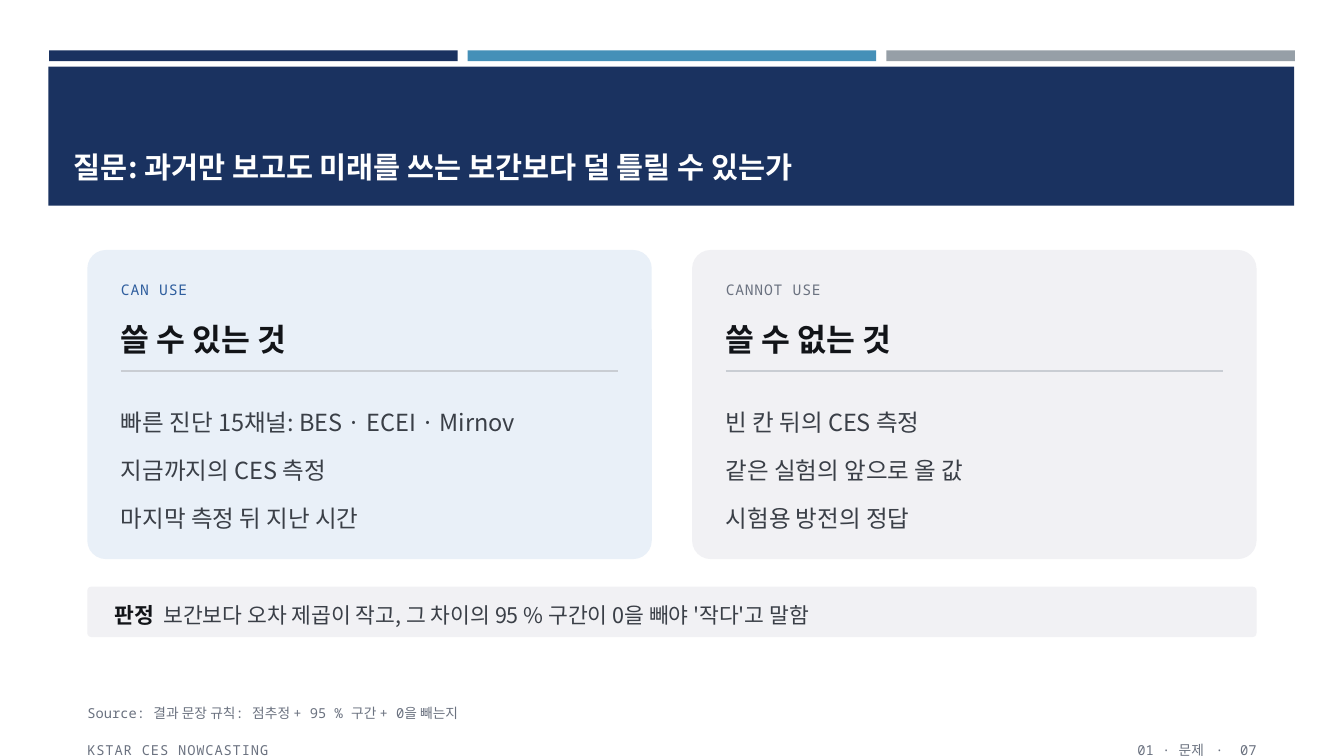
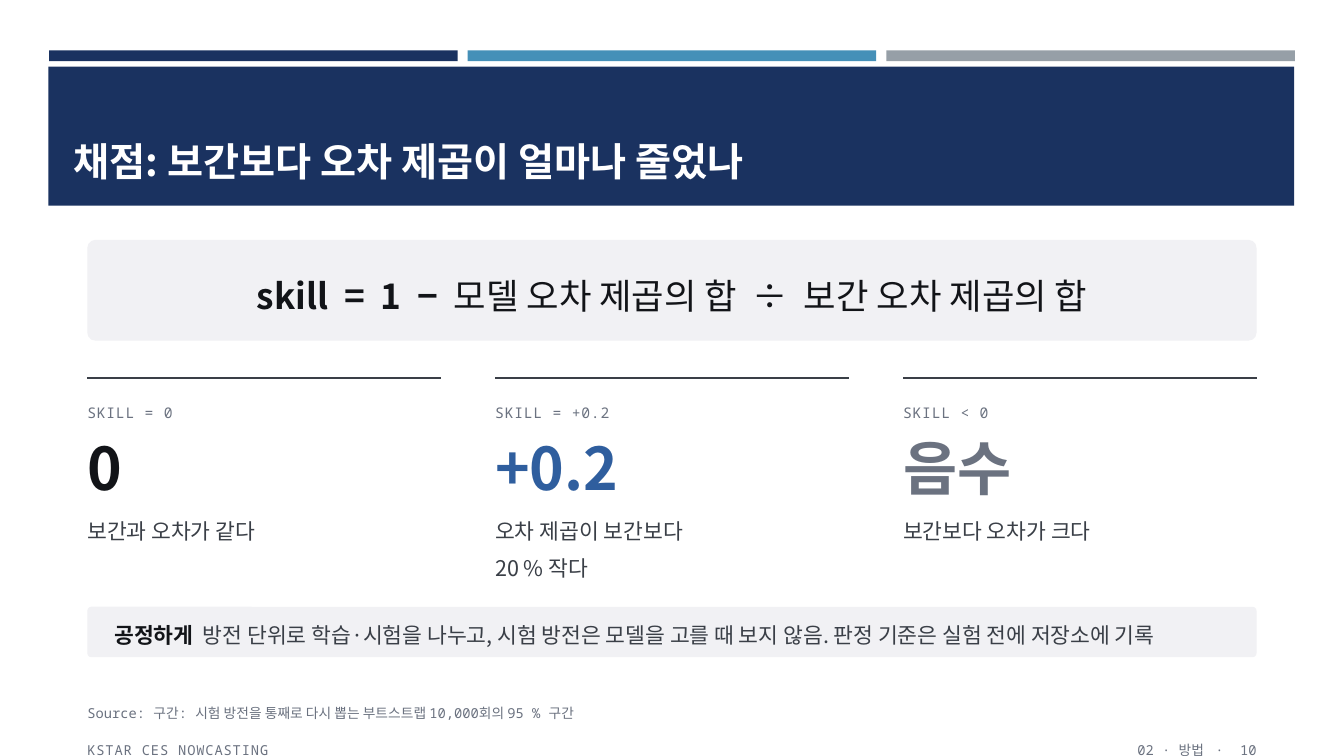
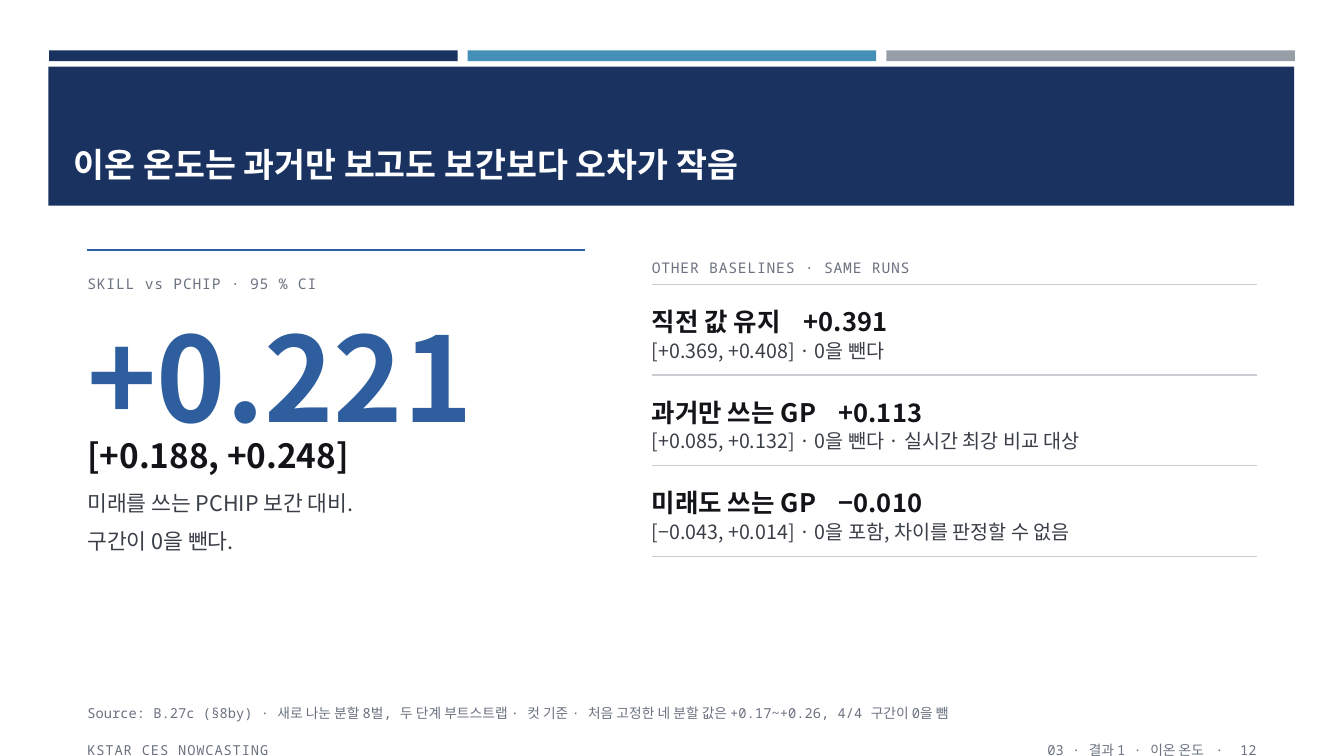
import pptx
import pptx.util
import pptx.dml.color
import pptx.enum.shapes
import pptx.enum.text
import pptx.oxml
import pptx.oxml.ns
from lxml import etree

RGB = pptx.dml.color.RGBColor
SHAPE = pptx.enum.shapes.MSO_SHAPE
ALIGN = pptx.enum.text.PP_ALIGN
ANCHOR = pptx.enum.text.MSO_ANCHOR
qn = pptx.oxml.ns.qn

PX = 6096  # EMU per px: the slide is 2000 x 1125 px

NAVY = RGB(0x1A, 0x32, 0x60)
SKY = RGB(0x45, 0x90, 0xB8)
STEEL = RGB(0x96, 0x9F, 0xA7)
WHITE = RGB(0xFF, 0xFF, 0xFF)
BLUE = RGB(0x2F, 0x5E, 0x9E)
PALE_BLUE = RGB(0xE9, 0xF0, 0xF8)
PALE_GRAY = RGB(0xF1, 0xF1, 0xF4)
INK = RGB(0x12, 0x14, 0x18)
BODY = RGB(0x3A, 0x3F, 0x47)
MUTED = RGB(0x6B, 0x72, 0x80)
RULE = RGB(0xC9, 0xCD, 0xD3)

SANS = "Noto Sans CJK KR"
MONO = "Noto Sans Mono"

LEFT, WIDTH = 130, 1740
BAR_COLORS = (NAVY, SKY, STEEL)


# Basic parts
def emu(*lengths):
    return [pptx.util.Emu(v * PX) for v in lengths]


def add_run(p, content, size=15.4, color=BODY, font=SANS, bold=False, spc=0):
    r = p.add_run()
    r.text = content
    f = r.font
    f.size = pptx.util.Pt(size)
    f.bold = bold
    f.color.rgb = color
    f.name = font
    rPr = r._r.get_or_add_rPr()
    if spc:
        rPr.set("spc", str(round(spc * 100)))
    etree.SubElement(rPr, qn("a:ea")).set("typeface", SANS)


def text(s, box, paras, align=ALIGN.LEFT, anchor=ANCHOR.TOP, spacing=1.25,
         tab=None, **fmt):
    """Each paragraph is a string or a list of (string, format) runs."""
    tf = s.shapes.add_textbox(*emu(*box)).text_frame
    tf.word_wrap = True
    tf.vertical_anchor = anchor
    tf.margin_left = tf.margin_right = tf.margin_top = tf.margin_bottom = 0
    for i, para in enumerate([paras] if isinstance(paras, str) else paras):
        p = tf.paragraphs[0] if i == 0 else tf.add_paragraph()
        p.alignment = align
        p.line_spacing = spacing
        if tab:
            tabs = etree.SubElement(p._p.get_or_add_pPr(), qn("a:tabLst"))
            stop = etree.SubElement(tabs, qn("a:tab"))
            stop.set("pos", str(tab * PX))
            stop.set("algn", "l")
        for content, extra in [(para, {})] if isinstance(para, str) else para:
            add_run(p, content, **{**fmt, **extra})


def spaced(parts, spc):
    """Join runs with a space widened by spc points."""
    runs = []
    for part in parts:
        if runs:
            runs.append((" ", {"spc": spc}))
        runs.append(part)
    return runs


def label(s, x, y, w, content, color=MUTED):
    text(s, (x, y, w, 35), content, size=10.5, font=MONO, color=color, spc=0.6)


def block(s, box, fill, radius=None):
    kind = SHAPE.RECTANGLE if radius is None else SHAPE.ROUNDED_RECTANGLE
    sp = s.shapes.add_shape(kind, *emu(*box))
    if radius is not None:
        sp.adjustments[0] = radius
    sp.shadow.inherit = False
    sp.fill.solid()
    sp.fill.fore_color.rgb = fill
    sp.line.fill.background()


def rule(s, x, y, w, color=RULE, weight=1):
    line = s.shapes.add_connector(pptx.enum.shapes.MSO_CONNECTOR.STRAIGHT,
                                  *emu(x, y, x + w, y))
    line.line.color.rgb = color
    line.line.width = pptx.util.Pt(weight)
    etree.SubElement(line._element.spPr, qn("a:effectLst"))


# Frame shared by all slides
def new_slide(prs, title, title_size, source, section, page):
    s = prs.slides.add_slide(prs.slide_layouts[5])
    for i, color in enumerate(BAR_COLORS):
        block(s, (73 + i * 623, 75, 608, 16), color)
    block(s, (72, 99, 1854, 207), NAVY)

    # Title, brought in front of its band
    sp = s.shapes.title
    sp.element.getparent().append(sp.element)
    sp.left, sp.top, sp.width, sp.height = emu(95, 120, 1809, 162)
    tf = sp.text_frame
    tf.auto_size = pptx.enum.text.MSO_AUTO_SIZE.NONE
    tf.word_wrap = True
    tf.vertical_anchor = ANCHOR.BOTTOM
    tf.paragraphs[0].alignment = ALIGN.LEFT
    add_run(tf.paragraphs[0], title, size=title_size, color=WHITE, bold=True)

    # Source and footer
    small = dict(size=9.8, font=MONO, color=MUTED)
    text(s, (LEFT, 1043, WIDTH, 40), "Source: " + source, **small)
    text(s, (LEFT, 1098, 800, 30), "KSTAR CES NOWCASTING", spc=0.6, **small)
    parts = [(part, {}) for part in (section, "·", page)]
    text(s, (1070, 1098, 800, 30), [spaced(parts, 5.9)],
         align=ALIGN.RIGHT, **small)
    return s


def note(s, y, lead, content):
    block(s, (LEFT, y, WIDTH, 75), PALE_GRAY, 0.08)
    runs = [(lead, {"color": INK, "bold": True}), (content, {})]
    text(s, (LEFT + 40, y, WIDTH - 80, 75), [spaced(runs, 3.4)],
         anchor=ANCHOR.MIDDLE)


# Regions
def card(s, x, y, fill, tag, tag_color, heading, items):
    block(s, (x, y, 840, 460), fill, 0.06)
    x, w = x + 50, 740
    label(s, x, y + 40, w, tag, tag_color)
    text(s, (x, y + 90, w, 70), heading, size=22.4, color=INK, bold=True)
    rule(s, x, y + 180, w)
    text(s, (x, y + 206, w, 240), items, spacing=1.7, size=16.8)


def formula(s, x, y, w, h):
    block(s, (x, y, w, h), PALE_GRAY, 0.08)
    runs = [(term, {"bold": True}) for term in ("skill", "=", "1", "−")]
    runs += [(term, {}) for term in
             ("모델 오차 제곱의 합", "÷", "보간 오차 제곱의 합")]
    text(s, (x, y, w, h), [spaced(runs, 5.6)], align=ALIGN.CENTER,
         anchor=ANCHOR.MIDDLE, size=25.2, color=INK)


def score(s, x, y, w, tag, value, color, caption):
    rule(s, x, y, w, BODY, 1.25)
    label(s, x, y + 31, w, tag)
    text(s, (x, y + 79, w, 130), value, spacing=1, size=42, color=color,
         bold=True)
    text(s, (x, y + 193, w, 180), caption, spacing=1.4)


def main_result(s, x, y, w):
    rule(s, x, y, w, BLUE, 2)
    label(s, x, y + 30, w, "SKILL vs PCHIP · 95 % CI")
    text(s, (x, y + 81, w, 190), "+0.221", spacing=1, size=84, color=BLUE,
         bold=True)
    text(s, (x, y + 261, w, 70), "[+0.188, +0.248]", size=23.8, color=INK,
         bold=True)
    text(s, (x, y + 340, w, 140),
         ["미래를 쓰는 PCHIP 보간 대비.", "구간이 0을 뺀다."], spacing=1.45)


def baselines(s, x, y, w, rows):
    label(s, x, y, w, "OTHER BASELINES · SAME RUNS")
    y += 45
    rule(s, x, y, w)
    for name, value, tab, interval in rows:
        text(s, (x, y + 21, w, 50), f"{name}\t{value}", tab=tab, size=18.2,
             color=INK, bold=True)
        text(s, (x, y + 72, w, 60), interval, size=14)
        y += 135
        rule(s, x, y, w)


# Slides
def question_slide(prs):
    s = new_slide(prs, "질문: 과거만 보고도 미래를 쓰는 보간보다 덜 틀릴 수 있는가", 21,
                  "결과 문장 규칙: 점추정 + 95 % 구간 + 0을 빼는지", "01 · 문제", "07")
    cards = (
        (PALE_BLUE, "CAN USE", BLUE, "쓸 수 있는 것",
         ["빠른 진단 15채널: BES · ECEI · Mirnov", "지금까지의 CES 측정",
          "마지막 측정 뒤 지난 시간"]),
        (PALE_GRAY, "CANNOT USE", MUTED, "쓸 수 없는 것",
         ["빈 칸 뒤의 CES 측정", "같은 실험의 앞으로 올 값", "시험용 방전의 정답"]),
    )
    for i, content in enumerate(cards):
        card(s, LEFT + i * 900, 372, *content)
    note(s, 873, "판정",
         "보간보다 오차 제곱이 작고, 그 차이의 95 % 구간이 0을 빼야 '작다'고 말함")


def scoring_slide(prs):
    s = new_slide(prs, "채점: 보간보다 오차 제곱이 얼마나 줄었나", 28,
                  "구간: 시험 방전을 통째로 다시 뽑는 부트스트랩 10,000회의 95 % 구간",
                  "02 · 방법", "10")
    formula(s, LEFT, 357, WIDTH, 150)
    scores = (
        ("SKILL = 0", "0", INK, "보간과 오차가 같다"),
        ("SKILL = +0.2", "+0.2", BLUE, ["오차 제곱이 보간보다", "20 % 작다"]),
        ("SKILL < 0", "음수", MUTED, "보간보다 오차가 크다"),
    )
    for i, content in enumerate(scores):
        score(s, LEFT + i * 607, 563, 527, *content)
    note(s, 903, "공정하게",
         "방전 단위로 학습·시험을 나누고, 시험 방전은 모델을 고를 때 보지 않음. "
         "판정 기준은 실험 전에 저장소에 기록")


def result_slide(prs):
    s = new_slide(prs, "이온 온도는 과거만 보고도 보간보다 오차가 작음", 24,
                  "B.27c (§8by) · 새로 나눈 분할 8벌, 두 단계 부트스트랩 · 컷 기준 · "
                  "처음 고정한 네 분할 값은 +0.17~+0.26, 4/4 구간이 0을 뺌",
                  "03 · 결과 1 · 이온 온도", "12")
    main_result(s, LEFT, 372, 740)
    baselines(s, 970, 378, 900, (
        ("직전 값 유지", "+0.391", 226, "[+0.369, +0.408] · 0을 뺀다"),
        ("과거만 쓰는 GP", "+0.113", 278,
         "[+0.085, +0.132] · 0을 뺀다 · 실시간 최강 비교 대상"),
        ("미래도 쓰는 GP", "−0.010", 278,
         "[−0.043, +0.014] · 0을 포함, 차이를 판정할 수 없음"),
    ))


def main():
    prs = pptx.Presentation()
    prs.slide_width, prs.slide_height = emu(2000, 1125)
    question_slide(prs)
    scoring_slide(prs)
    result_slide(prs)
    prs.save("out.pptx")


if __name__ == "__main__":
    main()
